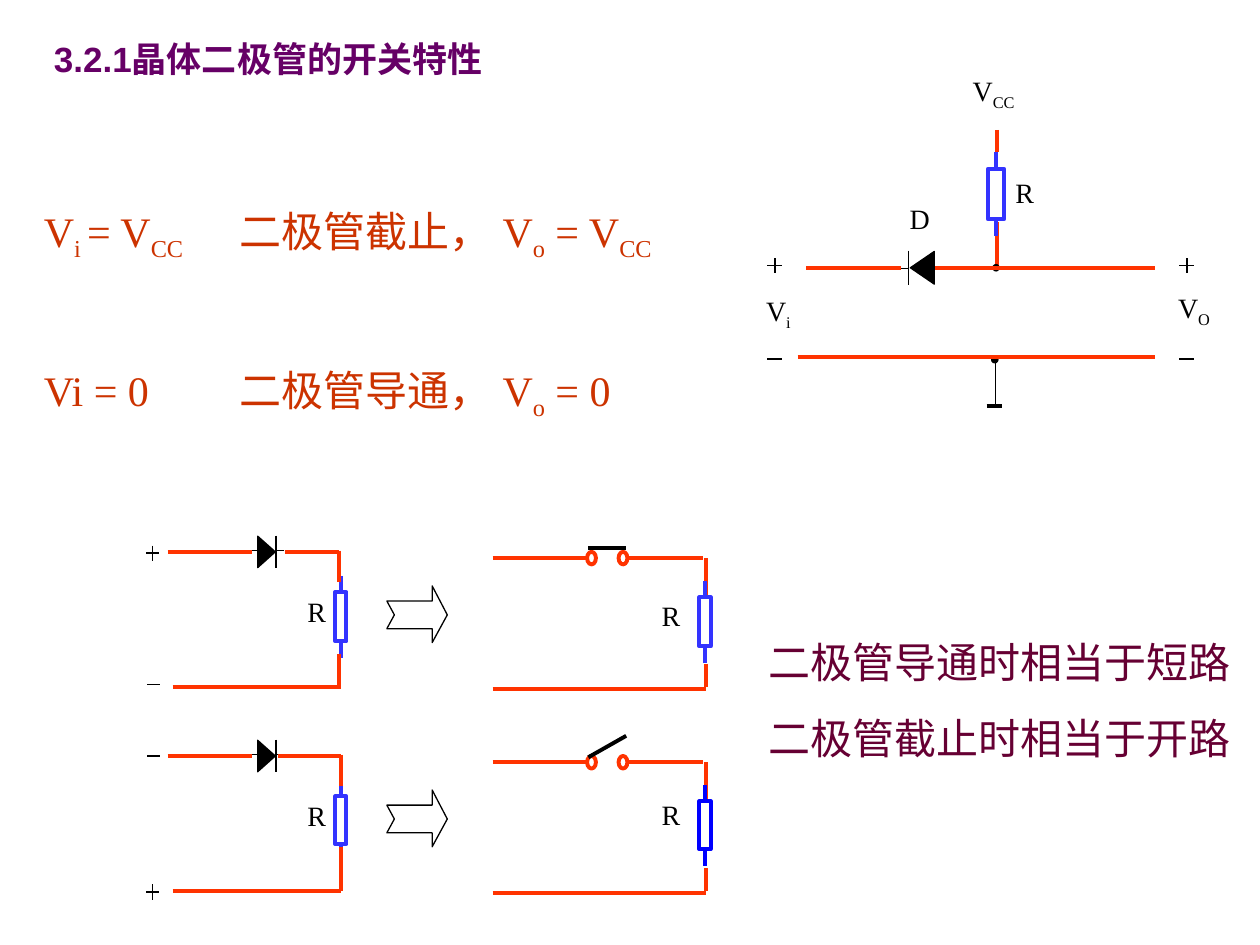
from lxml import etree
from pptx import Presentation
from pptx import util as u
from pptx.dml.color import RGBColor
from pptx.enum import shapes, text
from pptx.oxml import ns

RED, BLUE, BLACK, WHITE = "FF3300", "3333FF", "000000", "FFFFFF"
RUST, PLUM = "CC3300", "660033"
SERIF, SANS = "Times New Roman", "Arial"
KIND = shapes.MSO_SHAPE
SUB = -25000

deck = Presentation()
deck.slide_width, deck.slide_height = u.Inches(10), u.Inches(7.5)
slide = deck.slides.add_slide(deck.slide_layouts[6])


def wire(x1, y1, x2, y2, color=RED, width=2.25):
    ends = [u.Inches(v) for v in (x1, y1, x2, y2)]
    drawn = slide.shapes.add_connector(shapes.MSO_CONNECTOR.STRAIGHT, *ends)
    drawn.line.color.rgb = RGBColor.from_string(color)
    drawn.line.width = u.Pt(width)
    etree.SubElement(drawn.element.spPr, ns.qn("a:effectLst"))


def part(kind, x, y, w, h, fill, color=BLACK, width=0.75, rotation=0):
    drawn = slide.shapes.add_shape(kind, *[u.Inches(v) for v in (x, y, w, h)])
    drawn.shadow.inherit = False
    drawn.rotation = rotation
    drawn.fill.solid()
    drawn.fill.fore_color.rgb = RGBColor.from_string(fill)
    if color:
        drawn.line.color.rgb = RGBColor.from_string(color)
        drawn.line.width = u.Pt(width)
    else:
        drawn.line.fill.background()
    return drawn


wire(7.91, 1.03, 7.91, 1.21)
wire(7.91, 1.76, 7.91, 2.12)
wire(7.9, 2.85, 7.9, 3.22, BLACK, 0.75)
wire(7.83, 3.22, 7.95, 3.22, BLACK)
for node_x, node_y in [(7.88, 2.1), (7.87, 2.83)]:
    part(KIND.OVAL, node_x, node_y, 0.05, 0.05, BLACK)

part(KIND.ISOSCELES_TRIANGLE, 7.19, 2.03, 0.26, 0.19, BLACK, rotation=270)
wire(7.14, 2.13, 7.21, 2.13, BLACK, 0.75)
wire(7.21, 1.99, 7.21, 2.26, BLACK, 0.75)
for start, end, level in [(6.33, 9.17, 2.83), (7.42, 9.17, 2.13), (6.4, 7.15, 2.13)]:
    wire(start, level, end, level)

rows = [
    (0, 2.26, 2.69, 5.19, BLUE, 4.35, 4.35),
    (1.62, 2.21, 2.71, 5.1, BLUE, 4.39, 4.22),
]
for drop, *_, hinge, tip in rows:
    part(KIND.ISOSCELES_TRIANGLE, 1.99, 4.31 + drop, 0.25, 0.14, BLACK, rotation=90)
    wire(1.97, 4.37 + drop, 2.05, 4.37 + drop, BLACK, 0.75)
    wire(2.19, 4.37 + drop, 2.25, 4.37 + drop, BLACK, 0.75)
    wire(2.19, 4.25 + drop, 2.19, 4.51 + drop, BLACK, 0.75)

    outline = [(3.07, 4.77), (3.43, 4.77), (3.43, 4.65), (3.55, 4.88),
               (3.43, 5.1), (3.43, 4.99), (3.07, 4.99), (3.13, 4.88)]
    corners = [(u.Inches(x), u.Inches(y + drop)) for x, y in outline]
    builder = slide.shapes.build_freeform(*corners[0])
    builder.add_line_segments(corners[1:], close=True)
    arrow = builder.convert_to_shape()
    arrow.shadow.inherit = False
    arrow.fill.solid()
    arrow.fill.fore_color.rgb = RGBColor.from_string(WHITE)
    arrow.line.color.rgb = RGBColor.from_string(BLACK)
    arrow.line.width = u.Pt(0.75)

    wire(3.91, 4.43 + drop, 4.66, 4.43 + drop)
    wire(4.98, 4.43 + drop, 5.58, 4.43 + drop)
    for contact in (4.66, 4.91):
        part(KIND.OVAL, contact, 4.38 + drop, 0.07, 0.1, WHITE, RED, 2.25)
    wire(4.67, hinge + drop, 4.97, tip + drop, BLACK)
    wire(5.6, 4.43 + drop, 5.6, 4.78 + drop)
    wire(5.6, 5.27 + drop, 5.6, 5.45 + drop)
    wire(3.91, 5.47 + drop, 5.6, 5.47 + drop)

resistors = [
    (7.84, 1.34, 0.13, 0.4, BLUE),
    (2.66, 4.7, 0.09, 0.39, BLUE),
    (5.55, 4.74, 0.09, 0.39, BLUE),
    (2.66, 6.32, 0.09, 0.38, BLUE),
    (5.55, 6.36, 0.09, 0.38, "0000FF"),
]
for x, y, w, h, color in resistors:
    part(KIND.RECTANGLE, x, y, w, h, WHITE, color, 2.25)
    middle = x + w / 2
    wire(middle, y - 0.13, middle, y, color)
    wire(middle, y + h, middle, y + h + 0.13, color)

for drop, anode, side, lower, *_ in rows:
    wire(1.33, 4.38 + drop, 2, 4.38 + drop)
    wire(anode, 4.38 + drop, side, 4.38 + drop)
    wire(side, 4.37 + drop, side, 4.62 + drop)
    wire(side, lower + drop, side, 5.45 + drop)
    wire(1.37, 5.45 + drop, 2.71, 5.45 + drop)

signs = [
    ("+", 6.15, 2.11, 0.06), ("-", 6.15, 2.85, 0.06),
    ("+", 9.42, 2.11, 0.06), ("-", 9.42, 2.85, 0.06),
    ("+", 1.21, 4.39, 0.05), ("-", 1.22, 5.43, 0.05),
    ("-", 1.22, 6, 0.05), ("+", 1.21, 7.08, 0.05),
]
for sign, x, y, reach in signs:
    wire(x - reach, y, x + reach, y, BLACK, 0.75)
    if sign == "+":
        wire(x, y - 0.06, x, y + 0.06, BLACK, 0.75)

tag = {"size": u.Pt(16), "name": SERIF}
heading = {"size": u.Pt(20), "name": SANS, "bold": True}
chinese = {"size": u.Pt(24), "name": SANS}
formula = {"size": u.Pt(24), "name": SERIF}

labels = [
    (7.72, 0.58, 0.43, 0.31, "V", "CC"),
    (8.06, 1.39, 0.4, 0.36, "R", ""),
    (7.22, 1.6, 0.28, 0.25, "D", ""),
    (9.35, 2.31, 0.4, 0.37, "V", "O"),
    (6.08, 2.33, 0.4, 0.37, "V", "i"),
    (2.44, 4.72, 0.19, 0.41, "R", ""),
    (2.44, 6.34, 0.19, 0.41, "R", ""),
    (5.25, 4.75, 0.19, 0.41, "R", ""),
    (5.25, 6.33, 0.19, 0.41, "R", ""),
]
writing = []
for x, y, w, h, symbol, index in labels:
    frame = part(KIND.RECTANGLE, x, y, w, h, WHITE, None).text_frame
    for margin in ("margin_left", "margin_top", "margin_right", "margin_bottom"):
        setattr(frame, margin, 0)
    runs = [(symbol, tag, 0)] + ([(index, tag, SUB)] if index else [])
    writing.append((frame, BLACK, text.PP_ALIGN.JUSTIFY, [(0, runs)]))

cutoff = [("V", formula, 0), ("i ", formula, SUB), ("= V", formula, 0),
          ("CC", formula, SUB), ("\t二极管截止，\t", chinese, 0), ("V", formula, 0),
          ("o", formula, SUB), (" = V", formula, 0), ("CC", formula, SUB)]
conducting = [("Vi = 0", formula, 0), ("\t二极管导通，\t", chinese, 0),
              ("V", formula, 0), ("o", formula, SUB), (" = 0", formula, 0)]
passages = [
    (0.33, 0.25, 4, 0.44, "660066", [(12.5, [("3.2.1晶体二极管的开关特性", heading, 0)])]),
    (6, 5, 4, 1.11, PLUM, [(15, [("二极管导通时相当于短路", chinese, 0)]),
                           (15, [("二极管截止时相当于开路", chinese, 0)])]),
    (0.25, 1.58, 5.17, 1.88, RUST, [(15, cutoff), (58, conducting)]),
]
for x, y, w, h, color, paragraphs in passages:
    frame = slide.shapes.add_textbox(*[u.Inches(v) for v in (x, y, w, h)]).text_frame
    writing.append((frame, color, text.PP_ALIGN.LEFT, paragraphs))

for frame, color, align, paragraphs in writing:
    frame.word_wrap = True
    frame.vertical_anchor = text.MSO_ANCHOR.TOP
    for number, (before, runs) in enumerate(paragraphs):
        line = frame.add_paragraph() if number else frame.paragraphs[0]
        line.alignment = align
        line.space_before = u.Pt(before)
        if any("\t" in words for words, *_ in runs):
            stops = etree.SubElement(line._p.get_or_add_pPr(), ns.qn("a:tabLst"))
            for stop in (1.55, 3.64):
                etree.SubElement(stops, ns.qn("a:tab"), pos=str(u.Inches(stop)), algn="l")
        for words, style, baseline in runs:
            piece = line.add_run()
            piece.text = words
            piece.font.color.rgb = RGBColor.from_string(color)
            for key, value in style.items():
                setattr(piece.font, key, value)
            if baseline:
                piece.font._element.set("baseline", str(baseline))

deck.save("out.pptx")
